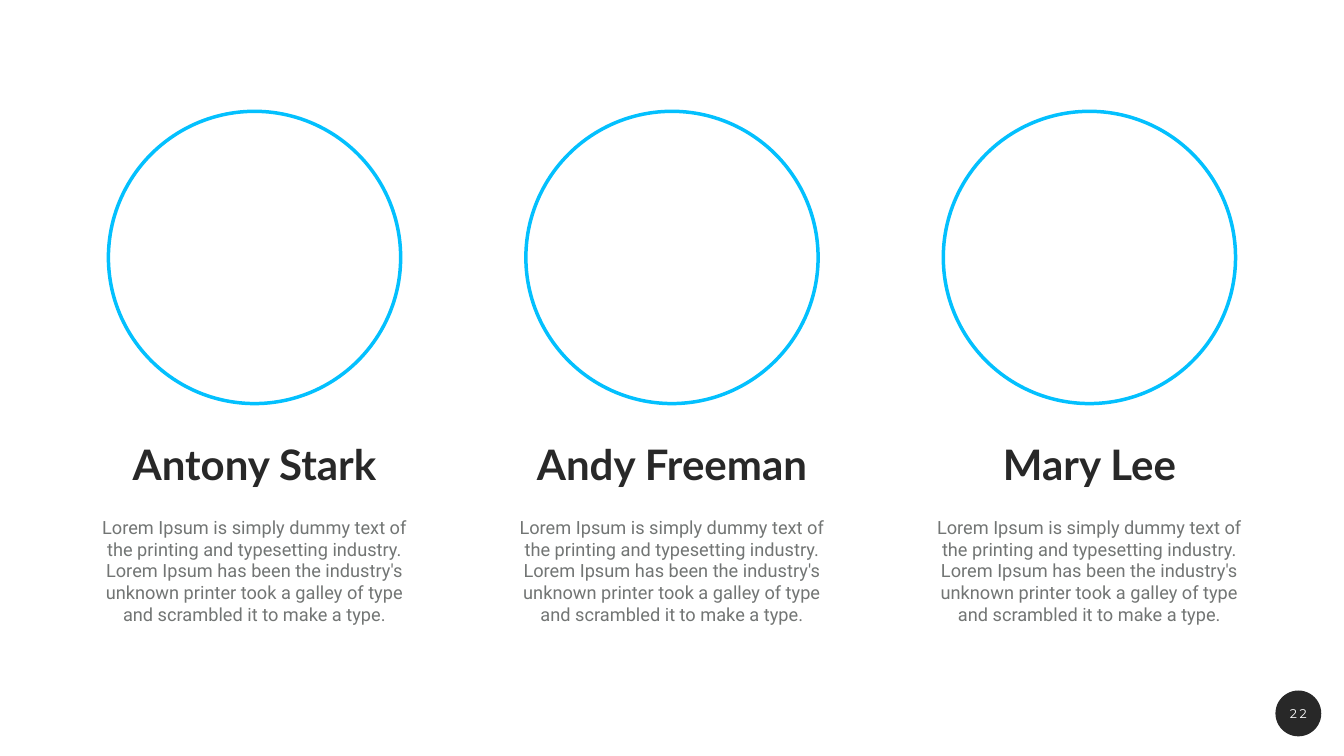
"""Build a team slide with three framed members and a page number."""
from dataclasses import dataclass

from pptx import Presentation
from pptx import util as u
from pptx.dml.color import RGBColor
from pptx.enum import shapes, text
from pptx.slide import Slide

DARK = RGBColor(0x28, 0x28, 0x28)
GREY = RGBColor(0x72, 0x75, 0x74)
CYAN = RGBColor(0x03, 0xC0, 0xFE)
WHITE = RGBColor(0xFF, 0xFF, 0xFF)

SLIDE_WIDTH, SLIDE_HEIGHT = 67.74, 38.1
PITCH = 21.04
BADGE_CENTER = 65.44
BIO = (
    "Lorem Ipsum is simply dummy text of the printing and typesetting industry. "
    "Lorem Ipsum has been the industry's unknown printer took a galley of type "
    "and scrambled it to make a type."
)


@dataclass(frozen=True)
class Member:
    name: str
    center: float
    bio_height: float = 6.45


MEMBERS = (
    Member("Antony Stark", SLIDE_WIDTH / 2 - PITCH, bio_height=7.29),
    Member("Andy Freeman", SLIDE_WIDTH / 2),
    Member("Mary Lee", SLIDE_WIDTH / 2 + PITCH),
)


def add_text(s: Slide, content: str, *, center: float, top: float, width: float,
             height: float, font: str, size: float, color: RGBColor,
             bold: bool = False, grow: bool = False, line_spacing: float = 1.0,
             anchor: text.MSO_ANCHOR = text.MSO_ANCHOR.TOP, tracking: int = 0) -> None:
    sp = s.shapes.add_textbox(u.Cm(center - width / 2), u.Cm(top), u.Cm(width), u.Cm(height))
    tf = sp.text_frame
    tf.word_wrap = True
    tf.auto_size = text.MSO_AUTO_SIZE.SHAPE_TO_FIT_TEXT if grow else text.MSO_AUTO_SIZE.NONE
    tf.vertical_anchor = anchor
    tf.margin_left = tf.margin_top = tf.margin_right = tf.margin_bottom = u.Cm(0.1)
    p = tf.paragraphs[0]
    p.alignment = text.PP_ALIGN.CENTER
    p.line_spacing = line_spacing
    r = p.add_run()
    r.text = content
    r.font.name, r.font.size, r.font.bold = font, u.Pt(size), bold
    r.font.color.rgb = color
    if tracking:
        r.font._element.set("spc", str(tracking))


def add_circle(s: Slide, center: float, top: float, diameter: float, *,
               fill: RGBColor | None = None, line: RGBColor | None = None) -> None:
    sp = s.shapes.add_shape(shapes.MSO_SHAPE.OVAL, u.Cm(center - diameter / 2),
                            u.Cm(top), u.Cm(diameter), u.Cm(diameter))
    sp.shadow.inherit = False
    if fill is None:
        sp.fill.background()
    else:
        sp.fill.solid()
        sp.fill.fore_color.rgb = fill
    if line is None:
        sp.line.fill.background()
    else:
        sp.line.color.rgb = line
        sp.line.width = u.Pt(5)


def add_member(s: Slide, member: Member) -> None:
    add_text(s, BIO, center=member.center, top=25.91, width=15.88,
             height=member.bio_height, font="Roboto", size=26, color=GREY)
    add_text(s, member.name, center=member.center, top=22.12, width=16.26, height=2.82,
             font="Lato", size=60, color=DARK, bold=True, grow=True,
             line_spacing=0.9, anchor=text.MSO_ANCHOR.MIDDLE)
    add_circle(s, member.center, 5.61, 14.73, line=CYAN)


def main() -> None:
    prs = Presentation()
    prs.slide_width, prs.slide_height = u.Cm(SLIDE_WIDTH), u.Cm(SLIDE_HEIGHT)
    s = prs.slides.add_slide(prs.slide_layouts[6])
    s.background.fill.solid()
    s.background.fill.fore_color.rgb = WHITE
    add_circle(s, BADGE_CENTER, 34.8, 2.31, fill=DARK)
    for member in MEMBERS:
        add_member(s, member)
    add_text(s, "22", center=BADGE_CENTER, top=35.46, width=1.68, height=0.99,
             font="Montserrat", size=18, color=WHITE, grow=True, tracking=360)
    prs.save("out.pptx")


if __name__ == "__main__":
    main()
